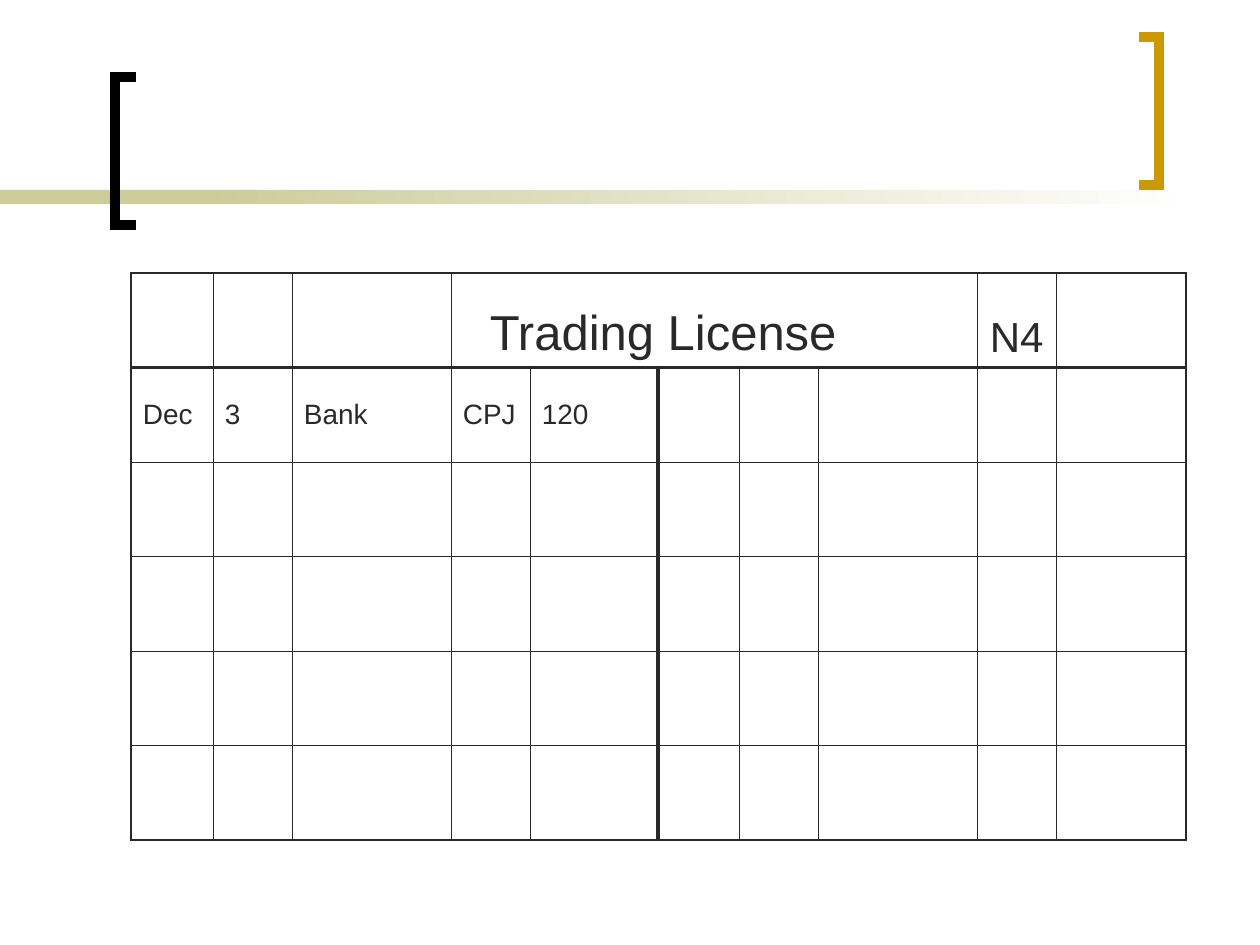
from dataclasses import dataclass

from lxml import etree
from pptx import Presentation
from pptx import util as u
from pptx.dml.color import RGBColor
from pptx.enum import shapes, text
from pptx.oxml import ns


@dataclass(frozen=True)
class Theme:
    font: str = "Arial"
    ink: str = "292929"
    black: str = "000000"
    gold: str = "CC9900"
    sand: str = "CCCC99"
    white: str = "FFFFFF"
    title: int = 28
    code: int = 24
    body: int = 16
    thin: float = 0.45
    frame: float = 1.08
    heavy: float = 2.21


@dataclass(frozen=True)
class Bracket:
    spine: int
    tip: int
    top: int
    bottom: int
    color: str


@dataclass(frozen=True)
class Entry:
    row: int
    col: int
    label: str
    size: int
    anchor: text.MSO_ANCHOR = text.MSO_ANCHOR.MIDDLE
    left_margin: int = 12


THEME = Theme()
COLUMNS = [82, 79, 159, 79, 128, 81, 79, 160, 79, 129]
ROWS = 6
TABLE_LEFT, TABLE_TOP, TABLE_HEIGHT = 131, 273, 567
RIGHT_MARGIN = 8
HEADING_START, HEADING_END = 3, 7
CENTER_EDGE = 5
BRACKETS = [
    Bracket(115, 136, 77, 225, THEME.black),
    Bracket(1159, 1139, 37, 185, THEME.gold),
]
ENTRIES = [
    Entry(0, HEADING_START, "Trading License", THEME.title, text.MSO_ANCHOR.BOTTOM, 39),
    Entry(0, 8, "N4", THEME.code, text.MSO_ANCHOR.BOTTOM),
    *(Entry(1, col, label, THEME.body)
      for col, label in enumerate(["Dec", "3", "Bank", "CPJ", "120"])),
]


def px(n: int) -> u.Emu:
    return u.Emu(round(n * 914400 / 126))


def rgb(value: str) -> RGBColor:
    return RGBColor.from_string(value)


def add_band(s, left: int, width: int, fade: bool) -> None:
    sp = s.shapes.add_shape(shapes.MSO_SHAPE.RECTANGLE, px(left), px(190), px(width), px(14))
    sp.shadow.inherit = False
    sp.line.fill.background()
    if fade:
        sp.fill.gradient()
        sp.fill.gradient_angle = 0
        for stop, color in zip(sp.fill.gradient_stops, [THEME.sand, THEME.white]):
            stop.color.rgb = rgb(color)
    else:
        sp.fill.solid()
        sp.fill.fore_color.rgb = rgb(THEME.sand)


def add_bracket(s, b: Bracket) -> None:
    builder = s.shapes.build_freeform(px(b.tip), px(b.top))
    corners = [(b.spine, b.top), (b.spine, b.bottom), (b.tip, b.bottom)]
    builder.add_line_segments([(px(x), px(y)) for x, y in corners], close=False)
    sp = builder.convert_to_shape()
    sp.shadow.inherit = False
    sp.fill.background()
    sp.line.color.rgb = rgb(b.color)
    sp.line.width = u.Pt(6)
    etree.SubElement(sp.line._get_or_add_ln(), ns.qn("a:miter"), lim="800000")


def row_edge(edge: int) -> float:
    return {0: THEME.frame, 1: THEME.heavy, ROWS: THEME.frame}.get(edge, THEME.thin)


def column_edge(edge: int, row: int) -> float:
    if edge in (0, len(COLUMNS)):
        return THEME.frame
    return THEME.heavy if edge == CENTER_EDGE and row > 0 else THEME.thin


def set_borders(cell, row: int, col: int) -> None:
    """Put the four border lines ahead of the cell's fill, as the schema asks."""
    widths = {
        "lnL": column_edge(col, row),
        "lnR": column_edge(col + 1, row),
        "lnT": row_edge(row),
        "lnB": row_edge(row + 1),
    }
    tc_pr = cell._tc.get_or_add_tcPr()
    for i, (tag, width) in enumerate(widths.items()):
        ln = etree.Element(ns.qn(f"a:{tag}"), w=str(u.Pt(width)))
        fill = etree.SubElement(ln, ns.qn("a:solidFill"))
        etree.SubElement(fill, ns.qn("a:srgbClr"), val=THEME.ink)
        tc_pr.insert(i, ln)


def write_entry(table, entry: Entry) -> None:
    cell = table.cell(entry.row, entry.col)
    cell.text_frame.text = entry.label
    cell.vertical_anchor = entry.anchor
    cell.margin_left = px(entry.left_margin)
    cell.margin_right = px(RIGHT_MARGIN)
    font = cell.text_frame.paragraphs[0].runs[0].font
    font.name = THEME.font
    font.size = u.Pt(entry.size)
    font.bold = False
    font.color.rgb = rgb(THEME.ink)


def add_ledger(s) -> None:
    table = s.shapes.add_table(
        ROWS, len(COLUMNS), px(TABLE_LEFT), px(TABLE_TOP), px(sum(COLUMNS)), px(TABLE_HEIGHT)
    ).table
    table.first_row = table.horz_banding = False
    for column, width in zip(table.columns, COLUMNS):
        column.width = px(width)
    for r, row in enumerate(table.rows):
        row.height = px(TABLE_HEIGHT) // ROWS
        for c, cell in enumerate(row.cells):
            cell.fill.background()
            set_borders(cell, r, c)
    table.cell(0, HEADING_START).merge(table.cell(0, HEADING_END))
    for entry in ENTRIES:
        write_entry(table, entry)


def main() -> None:
    prs = Presentation()
    prs.slide_width, prs.slide_height = px(1260), px(945)
    s = prs.slides.add_slide(prs.slide_layouts[6])
    add_band(s, 0, 294, fade=False)
    add_band(s, 199, 998, fade=True)
    for bracket in BRACKETS:
        add_bracket(s, bracket)
    add_ledger(s)
    prs.save("out.pptx")


if __name__ == "__main__":
    main()
